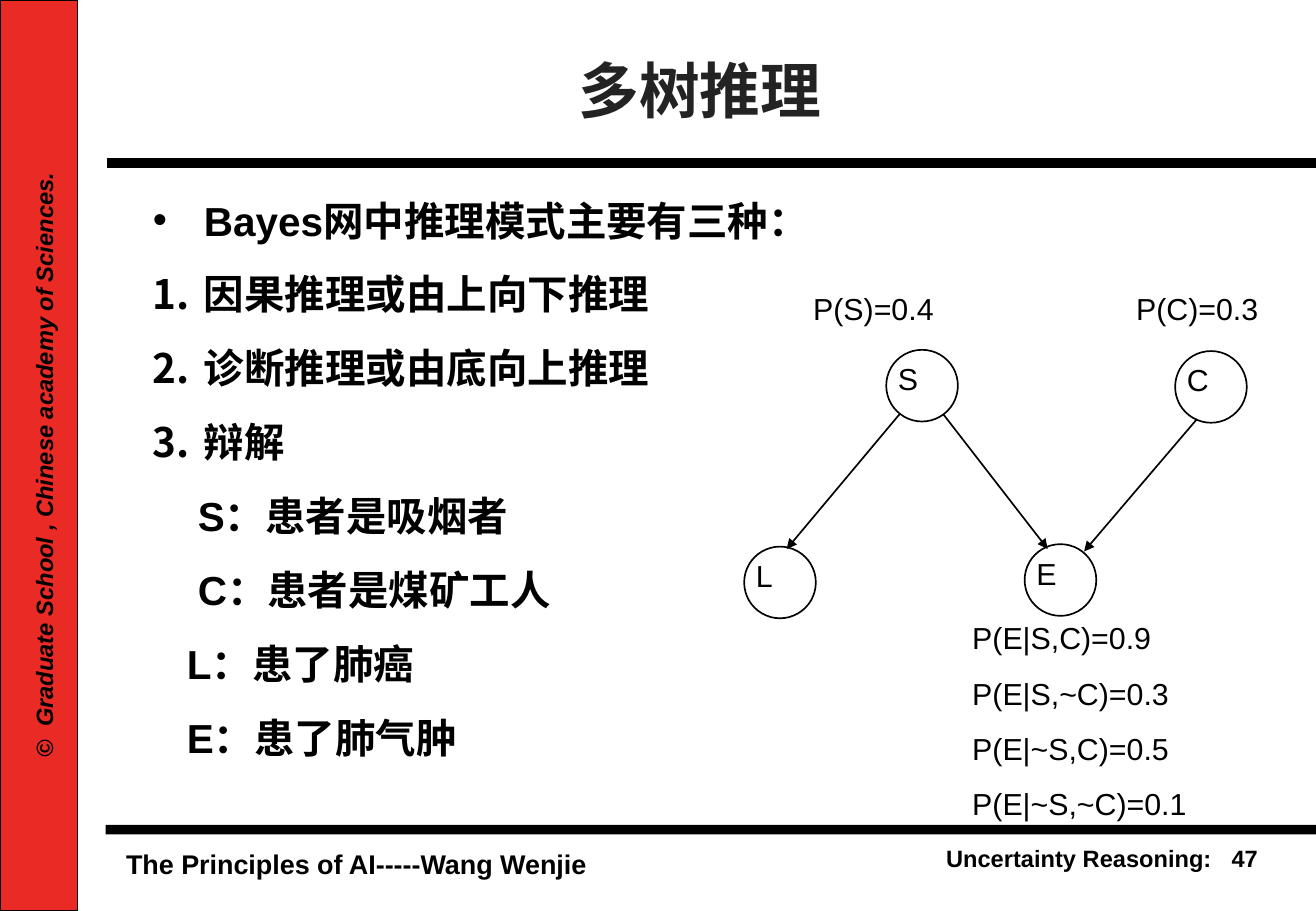
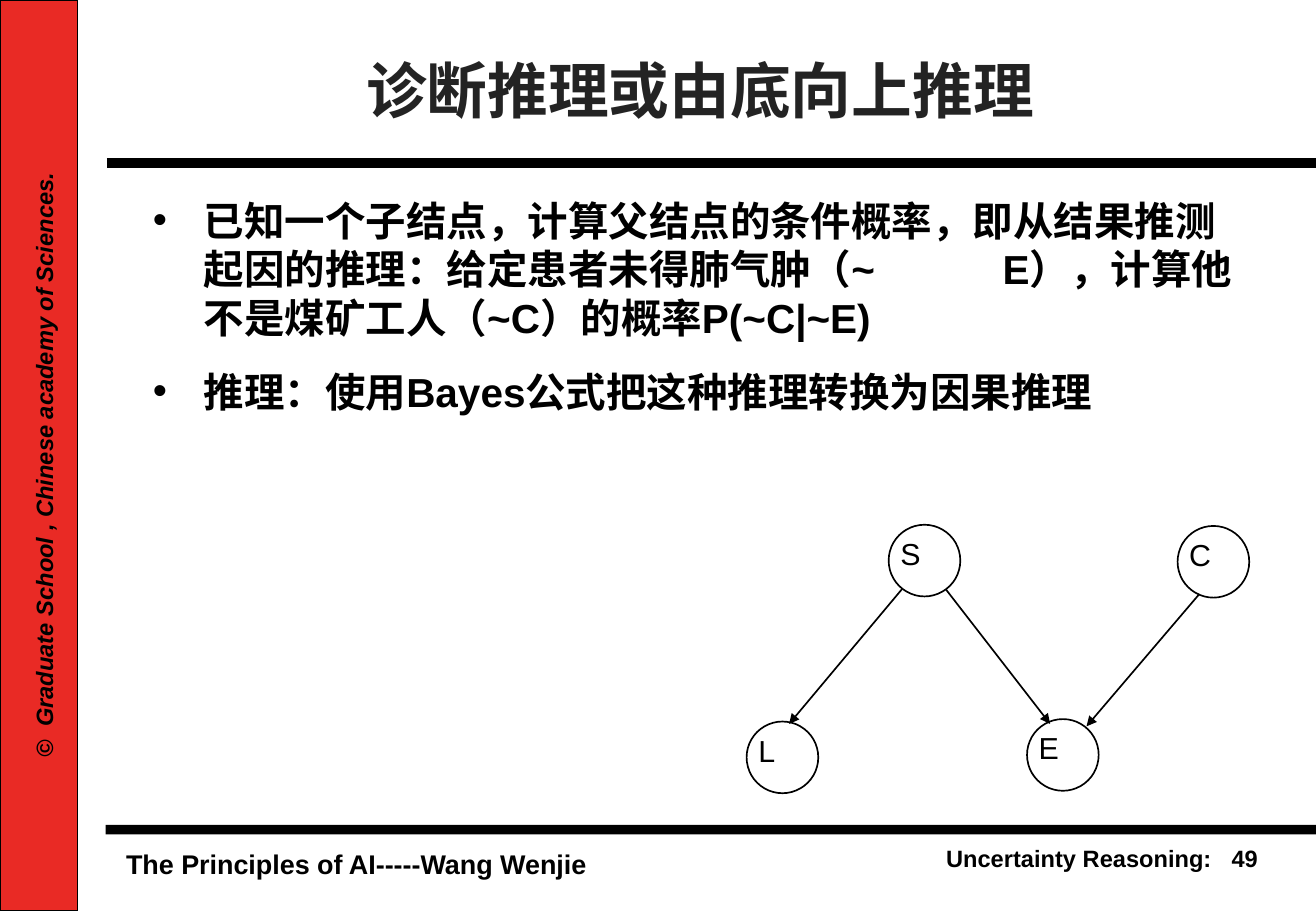
from dataclasses import dataclass

from lxml import etree
from pptx import Presentation
from pptx.dml.color import RGBColor
from pptx.enum.shapes import MSO_CONNECTOR, MSO_SHAPE
from pptx.enum.text import MSO_ANCHOR, MSO_AUTO_SIZE, PP_ALIGN
from pptx.oxml.ns import qn
from pptx.util import Inches, Pt

OVAL, RECT = MSO_SHAPE.OVAL, MSO_SHAPE.RECTANGLE
LINE = MSO_CONNECTOR.STRAIGHT
LEFT, MID, RIGHT = PP_ALIGN.LEFT, PP_ALIGN.CENTER, PP_ALIGN.RIGHT
TOP, CENTER = MSO_ANCHOR.TOP, MSO_ANCHOR.MIDDLE
FIXED = MSO_AUTO_SIZE.NONE

FONT = "Arial"
HUE = {"ink": "000000", "title": "232323", "band": "E92A25"}

# Grid of square cells, ten to the inch
COLS, ROWS = 108.4, 75
NODE = 5.9  # circle width in cells
HANG = 4.2  # hanging indent of list items


@dataclass
class Item:
    text: str
    mark: str = ""  # "•", "1" for a number, or nothing
    pad: float = HANG
    tab: float = 0


@dataclass
class Label:
    text: str
    box: tuple[float, float, float, float]
    size: float = 18
    bold: bool = False
    slant: bool = False
    align: int = LEFT
    turn: float = 0
    gap: float = 0


@dataclass
class Page:
    num: str
    title: str
    items: list[Item]
    shift: tuple[float, float]
    labels: list[Label]


# Network, in cells
NODES = {"S": (73, 28.8), "C": (96.8, 28.9), "L": (61.3, 45), "E": (84.4, 44.8)}
ARROWS = [
    (74.1, 34.1, 64.8, 45.2),
    (98.6, 34.5, 89.3, 45.4),
    (77.7, 34.1, 86.3, 45.2),
]

FRAME = [
    Label("The Principles of AI-----Wang Wenjie", (9.4, 69.3, 42, 3.6), 16, True),
    Label("Uncertainty Reasoning:", (64.7, 69, 36.1, 3.3), 14, True, align=RIGHT),
    Label("©  Graduate School , Chinese academy of Sciences.",
          (-21.7, 36.3, 50.7, 3.4), 14, True, True, turn=270),
]

PAGES = [
    Page("47", "多树推理", [
        Item("Bayes网中推理模式主要有三种：", "•"),
        Item("因果推理或由上向下推理", "1"),
        Item("诊断推理或由底向上推理", "1"),
        Item("辩解", "1"),
        Item("S：患者是吸烟者", pad=3.7),
        Item("C：患者是煤矿工人", pad=3.7),
        Item("L：患了肺癌", pad=2.8),
        Item("E：患了肺气肿", pad=2.8),
    ], (0, 0), [
        Label("P(S)=0.4", (66, 23.4, 14, 4)),
        Label("P(C)=0.3", (92.6, 23.4, 14, 4)),
        Label("P(E|S,C)=0.9\nP(E|S,~C)=0.3\nP(E|~S,C)=0.5\nP(E|~S,~C)=0.1",
              (79.1, 50.5, 26.1, 17.7), gap=11.2),
    ]),
    Page("49", "诊断推理或由底向上推理", [
        Item("已知一个子结点，计算父结点的条件概率，即从结果推测起因的推理："
             "给定患者未得肺气肿（~\tE），计算他不是煤矿工人（~C）的概率P(~C|~E)",
             "•", tab=70),
        Item("推理：使用Bayes公式把这种推理转换为因果推理", "•"),
    ], (0.2, 14.4), []),
]


def cell(n: float) -> int:
    return round(Inches(0.1) * n)


def cells(box) -> list[int]:
    return [cell(n) for n in box]


def tint(name: str) -> RGBColor:
    return RGBColor.from_string(HUE[name])


def style(para, size: float, hue: str = "ink", bold: bool = False,
          slant: bool = False, align: int = LEFT) -> None:
    para.alignment = align
    for run in para.runs:
        font = run.font
        font.name, font.size = FONT, Pt(size)
        font.bold, font.italic = bold, slant
        font.color.rgb = tint(hue)


def write(slide, label: Label) -> None:
    box = slide.shapes.add_textbox(*cells(label.box))
    box.rotation = label.turn
    frame = box.text_frame
    frame.word_wrap = True
    frame.text = label.text
    for i, para in enumerate(frame.paragraphs):
        para.space_before = Pt(label.gap if i else 0)
        style(para, label.size, "ink", label.bold, label.slant, label.align)


def block(slide, kind: int, box, fill: str = "", edge: float = 0):
    shape = slide.shapes.add_shape(kind, *cells(box))
    shape.shadow.inherit = False
    if fill:
        shape.fill.solid()
        shape.fill.fore_color.rgb = tint(fill)
    else:
        shape.fill.background()
    if edge:
        shape.line.color.rgb = tint("ink")
        shape.line.width = Pt(edge)
    else:
        shape.line.fill.background()
    return shape


def rule(slide, ends, width: float, head: bool = False) -> None:
    line = slide.shapes.add_connector(LINE, *cells(ends))
    line.line.color.rgb = tint("ink")
    line.line.width = Pt(width)
    if head:
        etree.SubElement(line.line._get_or_add_ln(), qn("a:tailEnd"), type="triangle")
    etree.SubElement(line._element.spPr, qn("a:effectLst"))


def bullet(para, item: Item) -> None:
    props = para._p.get_or_add_pPr()
    props.set("marL", str(cell(item.pad)))
    props.set("indent", str(-cell(HANG) if item.mark else 0))
    if item.mark:
        color = etree.SubElement(props, qn("a:buClr"))
        etree.SubElement(color, qn("a:srgbClr"), val=HUE["ink"])
    if item.mark == "1":
        etree.SubElement(props, qn("a:buAutoNum"), type="arabicPeriod")
    elif item.mark:
        etree.SubElement(props, qn("a:buChar"), char=item.mark)
    else:
        etree.SubElement(props, qn("a:buNone"))
    if item.tab:
        tabs = etree.SubElement(props, qn("a:tabLst"))
        etree.SubElement(tabs, qn("a:tab"), pos=str(cell(item.tab)), algn="l")


def place(shape, box, anchor: int):
    shape.left, shape.top, shape.width, shape.height = cells(box)
    frame = shape.text_frame
    frame.auto_size, frame.word_wrap = FIXED, True
    frame.vertical_anchor = anchor
    return frame


# Parts that every slide shares
def trim(slide, num: str) -> None:
    block(slide, RECT, (8.7, 67.9, COLS - 8.7, 0.8), "ink")
    block(slide, RECT, (0, 0, 6.4, ROWS), "band", 1)
    rule(slide, (8.8, 13.4, COLS, 13.4), 6)
    for label in FRAME:
        write(slide, label)
    write(slide, Label(num, (98.6, 69, 6, 3.3), 14, True, align=RIGHT))


def head(slide, text: str) -> None:
    frame = place(slide.shapes.title, (11.7, 2.2, 91.9, 10.3), CENTER)
    frame.text = text
    style(frame.paragraphs[0], 36, "title", True, align=MID)


def body(slide, items: list[Item]) -> None:
    frame = place(slide.placeholders[1], (11.6, 15.6, 92.8, 50.4), TOP)
    frame.text = "\n".join(item.text for item in items)
    for i, (para, item) in enumerate(zip(frame.paragraphs, items)):
        para.space_before, para.space_after = Pt(9 if i else 0), Pt(6)
        bullet(para, item)
        style(para, 24, bold=True)


# Bayes network of four circles
def graph(slide, shift) -> None:
    dx, dy = shift
    for name, (x, y) in NODES.items():
        node = block(slide, OVAL, (x + dx, y + dy, NODE, NODE), edge=1)
        frame = node.text_frame
        frame.margin_left = cell(0.1)
        frame.margin_top = frame.margin_right = frame.margin_bottom = 0
        frame.vertical_anchor = TOP
        frame.text = name
        style(frame.paragraphs[0], 18)
    for x1, y1, x2, y2 in ARROWS:
        rule(slide, (x1 + dx, y1 + dy, x2 + dx, y2 + dy), 1, True)


def main() -> None:
    deck = Presentation()
    deck.slide_width, deck.slide_height = cell(COLS), cell(ROWS)
    for page in PAGES:
        slide = deck.slides.add_slide(deck.slide_layouts[1])
        trim(slide, page.num)
        head(slide, page.title)
        body(slide, page.items)
        graph(slide, page.shift)
        for label in page.labels:
            write(slide, label)
    deck.save("out.pptx")


if __name__ == "__main__":
    main()
